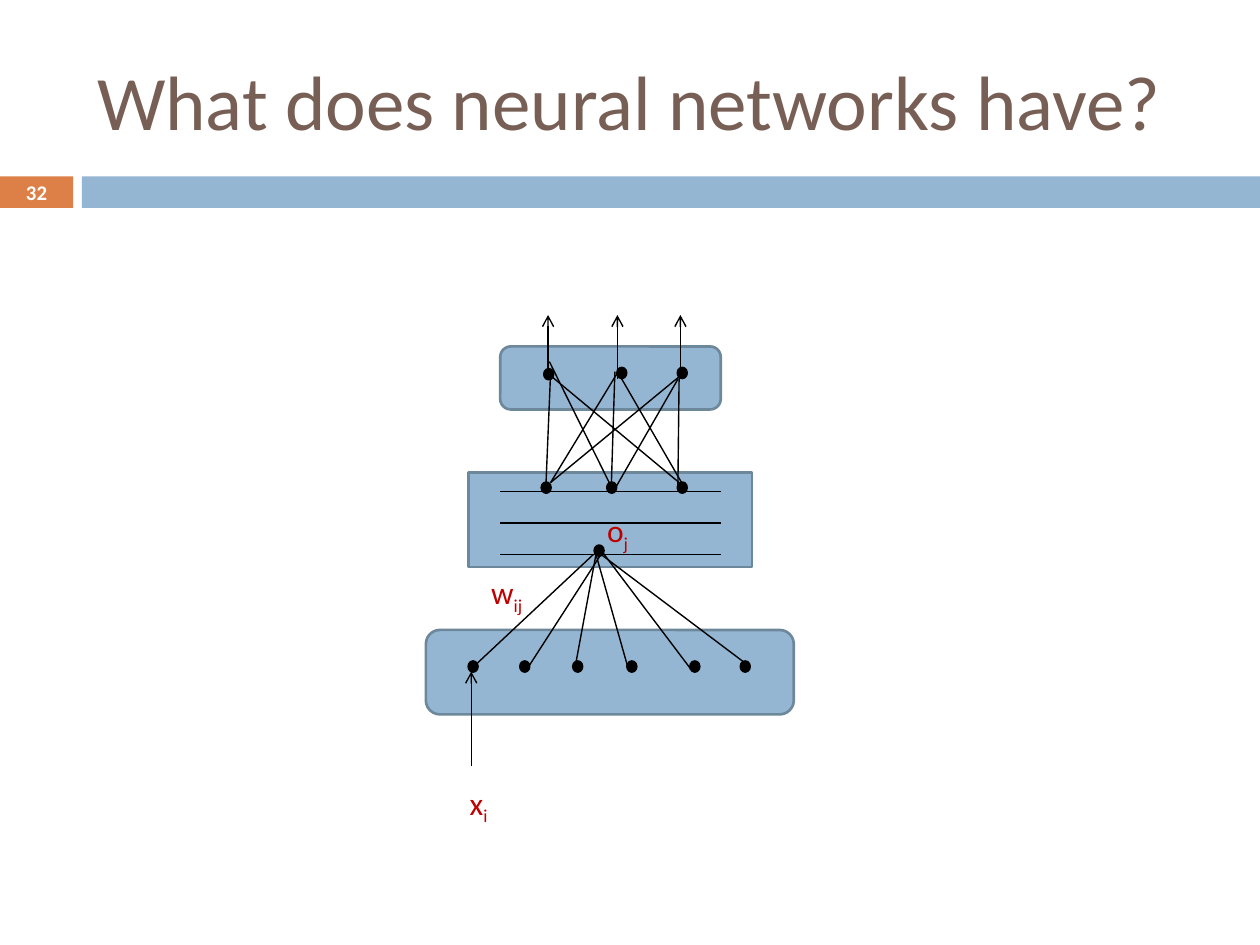
from dataclasses import dataclass

from lxml import etree
from pptx import Presentation
from pptx.dml.color import RGBColor
from pptx.enum.shapes import MSO_CONNECTOR, MSO_SHAPE
from pptx.enum.text import MSO_ANCHOR, PP_ALIGN
from pptx.oxml.ns import qn
from pptx.util import Inches, Pt

RECTANGLE = MSO_SHAPE.RECTANGLE
ROUNDED = MSO_SHAPE.ROUNDED_RECTANGLE
OVAL = MSO_SHAPE.OVAL
STRAIGHT = MSO_CONNECTOR.STRAIGHT
MIDDLE = MSO_ANCHOR.MIDDLE
LEFT, CENTER = PP_ALIGN.LEFT, PP_ALIGN.CENTER
TITLE_ONLY = 5


@dataclass(frozen=True)
class Theme:
    font: str = "Calibri"
    title: str = "775F55"
    accent: str = "DD8047"
    layer: str = "94B6D2"
    layer_edge: str = "6D879B"
    ink: str = "000000"
    label: str = "C00000"
    light: str = "FFFFFF"
    title_size: float = 44
    label_size: float = 18
    number_size: float = 11.9
    edge_width: float = 1.5
    line_width: float = 0.79


class SlideBuilder:
    def __init__(self, slide, theme):
        self.slide = slide
        self.theme = theme

    def add_run(self, paragraph, text, size, color, bold=False, subscript=False):
        run = paragraph.add_run()
        run.text = text
        run.font.name = self.theme.font
        run.font.size = Pt(size)
        run.font.bold = bold
        run.font.color.rgb = RGBColor.from_string(color)
        if subscript:
            run._r.get_or_add_rPr().set("baseline", "-25000")

    def title(self, text, *box):
        shape = self.slide.shapes.title
        shape.left, shape.top, shape.width, shape.height = map(Inches, box)
        frame = shape.text_frame
        frame.word_wrap = True
        frame.vertical_anchor = MIDDLE
        paragraph = frame.paragraphs[0]
        paragraph.alignment = LEFT
        self.add_run(paragraph, text, self.theme.title_size, self.theme.title)

    def shape(self, kind, box, fill, edge=None):
        shape = self.slide.shapes.add_shape(kind, *map(Inches, box))
        shape.shadow.inherit = False
        shape.fill.solid()
        shape.fill.fore_color.rgb = RGBColor.from_string(fill)
        if edge:
            shape.line.color.rgb = RGBColor.from_string(edge)
            shape.line.width = Pt(self.theme.edge_width)
        else:
            shape.line.fill.background()

    def layer(self, kind, *box):
        self.shape(kind, box, self.theme.layer, self.theme.layer_edge)

    def neurons(self, lefts, top):
        for left in lefts:
            self.shape(OVAL, (left, top, 0.07, 0.08), self.theme.ink, self.theme.ink)

    def line(self, start, end, arrow=False):
        connector = self.slide.shapes.add_connector(
            STRAIGHT, *map(Inches, (*start, *end)))
        connector.line.color.rgb = RGBColor.from_string(self.theme.ink)
        connector.line.width = Pt(self.theme.line_width)
        if arrow:
            outline = connector.line._get_or_add_ln()
            etree.SubElement(outline, qn("a:tailEnd"), type="arrow")
        etree.SubElement(connector._element.spPr, qn("a:effectLst"))

    def text_box(self, *box):
        shape = self.slide.shapes.add_textbox(*map(Inches, box))
        shape.text_frame.word_wrap = True
        return shape.text_frame

    def label(self, symbol, index, left, top):
        paragraph = self.text_box(left, top, 0.5, 0.4).paragraphs[0]
        size, color = self.theme.label_size, self.theme.label
        self.add_run(paragraph, symbol, size, color)
        self.add_run(paragraph, index, size, color, subscript=True)

    def page_number(self, text, *box):
        frame = self.text_box(*box)
        frame.vertical_anchor = MIDDLE
        paragraph = frame.paragraphs[0]
        paragraph.alignment = CENTER
        self.add_run(paragraph, text, self.theme.number_size, self.theme.light, bold=True)


INPUT_LEFTS = (3.72, 4.13, 4.55, 4.98, 5.48, 5.88)
HIDDEN_LEFTS = (4.3, 4.82, 5.38)
OUTPUT_LEFTS = (4.32, 4.9, 5.38)

INPUT_WEIGHTS = (
    ((3.76, 5.29), (4.71, 4.4)),
    ((4.17, 5.33), (4.77, 4.4)),
    ((4.56, 5.32), (4.73, 4.4)),
    ((4.99, 5.32), (4.73, 4.4)),
    ((5.49, 5.32), (4.78, 4.38)),
    ((5.95, 5.29), (4.77, 4.4)),
)
OUTPUT_WEIGHTS = (
    ((4.33, 3.92), (4.37, 2.96)),
    ((4.37, 3.83), (4.9, 2.96)),
    ((4.37, 3.83), (5.39, 2.99)),
    ((4.87, 3.9), (4.36, 2.87)),
    ((4.85, 3.91), (4.88, 2.95)),
    ((4.88, 3.88), (5.38, 3.01)),
    ((5.45, 3.88), (4.38, 2.99)),
    ((5.45, 3.9), (4.93, 3)),
    ((5.38, 3.88), (5.39, 2.99)),
)


def draw_network(builder):
    builder.layer(ROUNDED, 3.97, 2.75, 1.75, 0.5)
    builder.layer(RECTANGLE, 3.72, 3.75, 2.25, 0.75)
    builder.layer(ROUNDED, 3.38, 5, 2.92, 0.67)

    for y in (3.9, 4.15, 4.4):
        builder.line((3.97, y), (5.72, y))

    builder.neurons(OUTPUT_LEFTS[:1], 2.93)
    builder.neurons(OUTPUT_LEFTS[1:], 2.92)
    builder.neurons(INPUT_LEFTS, 5.25)
    builder.neurons((4.72,), 4.33)
    builder.neurons(HIDDEN_LEFTS, 3.83)

    for start, end in INPUT_WEIGHTS + OUTPUT_WEIGHTS:
        builder.line(start, end)
    for x in (4.35, 4.9, 5.4):
        builder.line((x, 3.01), (x, 2.5), arrow=True)
    builder.line((3.74, 6.08), (3.74, 5.33), arrow=True)

    builder.label("x", "i", 3.63, 6.17)
    builder.label("w", "ij", 3.8, 4.5)
    builder.label("o", "j", 4.72, 4.01)


def main():
    presentation = Presentation()
    presentation.slide_width = Inches(10)
    presentation.slide_height = Inches(7.5)
    slide = presentation.slides.add_slide(presentation.slide_layouts[TITLE_ONLY])
    theme = Theme()
    builder = SlideBuilder(slide, theme)

    builder.shape(RECTANGLE, (0, 1.4, 0.58, 0.25), theme.accent)
    builder.shape(RECTANGLE, (0.65, 1.4, 9.35, 0.25), theme.layer)
    builder.title("What does neural networks have?", 0.67, 0.25, 8.92, 1.08)
    draw_network(builder)
    builder.page_number("32", 0, 1.39, 0.58, 0.27)
    presentation.save("out.pptx")


if __name__ == "__main__":
    main()
